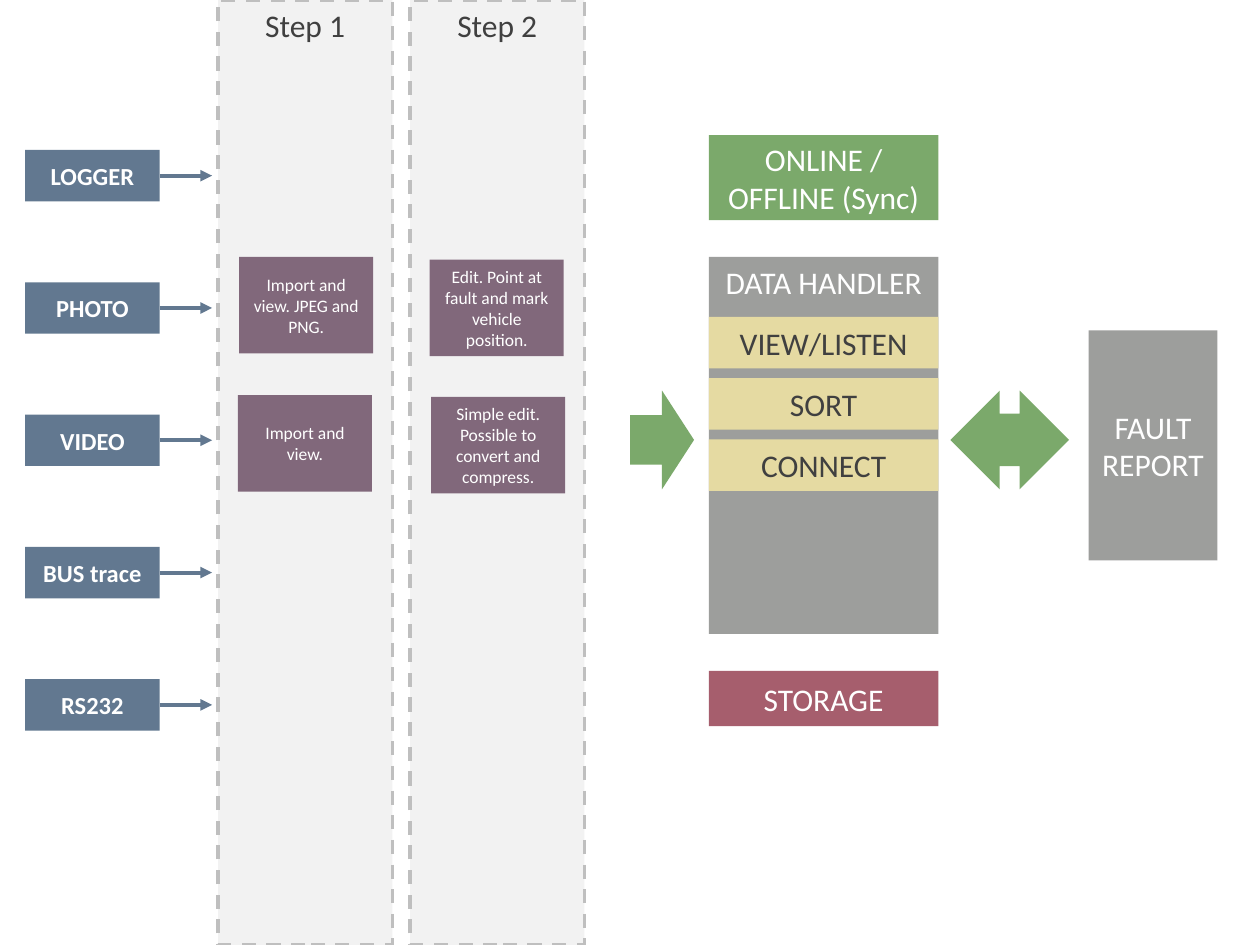
import pptx
import pptx.util
import pptx.dml.color
import pptx.enum.dml
import pptx.enum.shapes
import pptx.enum.text
import pptx.oxml
import pptx.oxml.ns

Pt = pptx.util.Pt
Kind = pptx.enum.shapes.MSO_SHAPE
Anchor = pptx.enum.text.MSO_ANCHOR

COLORS = {
    "blue": "627890",
    "gray": "9D9E9C",
    "red": "A65E6D",
    "green": "7BA96B",
    "yellow": "E5DAA2",
    "purple": "81687B",
    "panel": "F2F2F2",
    "dash": "BFBFBF",
    "dark": "404040",
    "white": "FFFFFF",
}


def color(name):
    return pptx.dml.color.RGBColor.from_string(COLORS[name])


def add_block(page, place, fill, text="", size=18, ink="white", bold=False,
              anchor=Anchor.MIDDLE, kind=Kind.RECTANGLE):
    box = page.shapes.add_shape(kind, *[Pt(value) for value in place])
    box.shadow.inherit = False
    box.fill.solid()
    box.fill.fore_color.rgb = color(fill)
    box.line.fill.background()
    if text:
        frame = box.text_frame
        frame.word_wrap = True
        frame.vertical_anchor = anchor
        para = frame.paragraphs[0]
        para.text = text
        para.alignment = pptx.enum.text.PP_ALIGN.CENTER
        para.font.name = "Calibri"
        para.font.size = Pt(size)
        para.font.bold = bold
        para.font.color.rgb = color(ink)
    return box


deck = pptx.Presentation()
deck.slide_width = Pt(720)
deck.slide_height = Pt(540)
page = deck.slides.add_slide(deck.slide_layouts[6])

for index, label in enumerate(["LOGGER", "PHOTO", "VIDEO", "BUS trace", "RS232"]):
    top = 85.7 + 75.6 * index
    source = add_block(page, (14.4, top, 76.8, 29.4), "blue", label, 14, bold=True)
    middle = Pt(top + 14.7)
    arrow = page.shapes.add_connector(
        pptx.enum.shapes.MSO_CONNECTOR.STRAIGHT, Pt(91.2), middle, Pt(121.2), middle)
    arrow.begin_connect(source, 3)
    arrow.line.color.rgb = color("blue")
    arrow.line.width = Pt(2.25)
    tail = pptx.oxml.parse_xml(
        '<a:tailEnd %s type="triangle"/>' % pptx.oxml.ns.nsdecls("a"))
    arrow.line._get_or_add_ln().append(tail)
    arrow._element.spPr.append(
        pptx.oxml.parse_xml("<a:effectLst %s/>" % pptx.oxml.ns.nsdecls("a")))

for left, label in [(124.6, "Step 1"), (234.4, "Step 2")]:
    panel = add_block(page, (left, 0, 99.6, 540), "panel", label,
                      ink="dark", anchor=Anchor.TOP)
    panel.line.color.rgb = color("dash")
    panel.line.width = Pt(2)
    panel.line.dash_style = pptx.enum.dml.MSO_LINE.DASH

for left, top, label in [
    (136.7, 146.8, "Import and view. JPEG and PNG."),
    (245.6, 148.4, "Edit. Point at fault and mark vehicle position."),
    (136, 225.8, "Import and view."),
    (246.4, 226.8, "Simple edit. Possible to convert and compress."),
]:
    add_block(page, (left, top, 76.6, 55.2), "purple", label, 10)

handler_left, handler_width = 405.1, 131.2
for top, height, fill, label, anchor in [
    (77.2, 48.6, "green", "ONLINE / OFFLINE (Sync)", Anchor.MIDDLE),
    (146.8, 215.4, "gray", "DATA HANDLER", Anchor.TOP),
    (383.4, 31.6, "red", "STORAGE", Anchor.MIDDLE),
]:
    add_block(page, (handler_left, top, handler_width, height), fill, label, anchor=anchor)

for index, label in enumerate(["VIEW/LISTEN", "SORT", "CONNECT"]):
    add_block(page, (handler_left, 181.1 + 35 * index, handler_width, 29.4),
              "yellow", label, ink="dark")

add_block(page, (360, 223.2, 36.6, 56.4), "green", kind=Kind.RIGHT_ARROW)
exchange = add_block(page, (543.1, 223.2, 67.8, 56.4), "green", kind=Kind.LEFT_RIGHT_ARROW)
exchange.adjustments[0] = 0.53
add_block(page, (622.1, 188.8, 73.6, 131.4), "gray", "FAULT REPORT")

deck.save("out.pptx")
